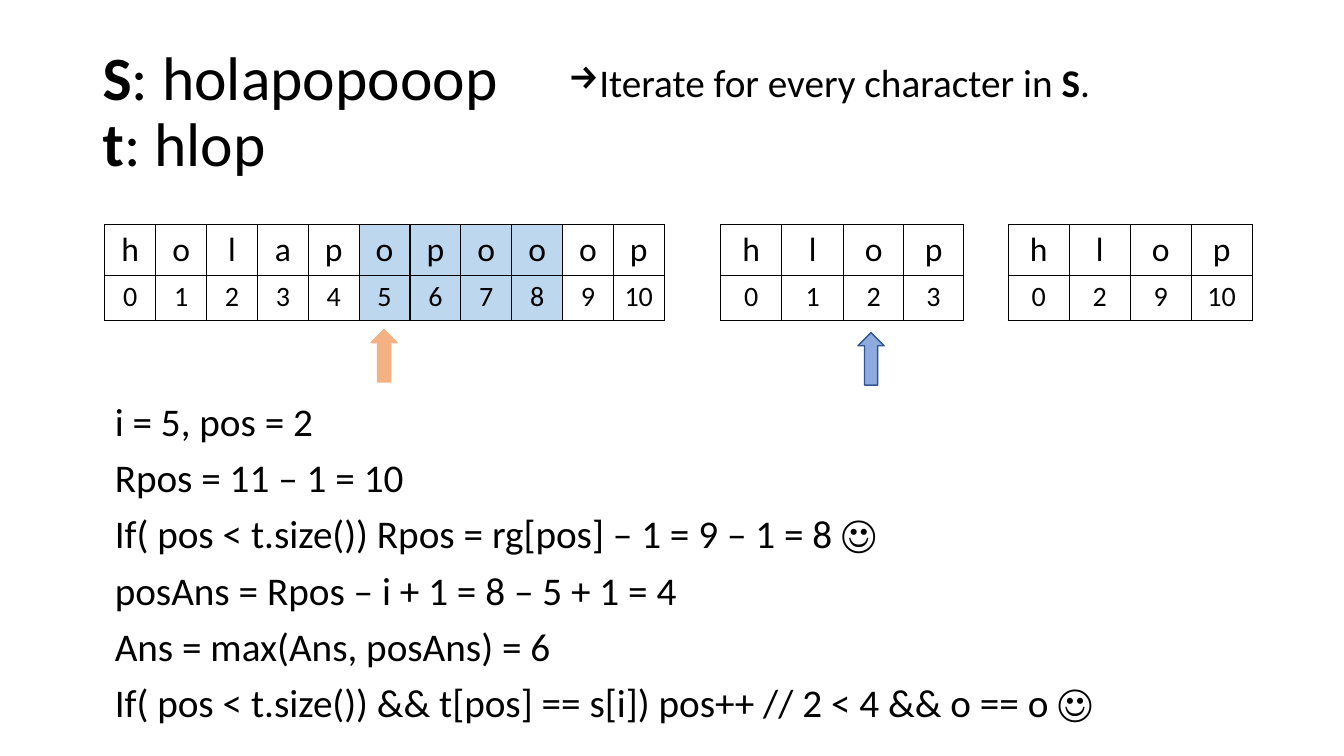
from lxml import etree
from pptx import Presentation
from pptx.dml.color import RGBColor
from pptx.enum.shapes import MSO_SHAPE
from pptx.enum.text import MSO_ANCHOR, PP_ALIGN
from pptx.oxml import parse_xml
from pptx.oxml.ns import nsdecls, qn
from pptx.util import Inches, Pt

RIGHT_ARROW = MSO_SHAPE.RIGHT_ARROW
MIDDLE, TOP = MSO_ANCHOR.MIDDLE, MSO_ANCHOR.TOP
CENTER = PP_ALIGN.CENTER
BLACK = RGBColor(0x00, 0x00, 0x00)
LIGHT_BLUE = RGBColor(0xBD, 0xD7, 0xEE)
ORANGE = RGBColor(0xF4, 0xB1, 0x83)
BLUE = RGBColor(0x8F, 0xAA, 0xDC)
DARK_BLUE = RGBColor(0x2F, 0x55, 0x97)
FONT = "Calibri"
TABLE_TOP = 2.23

prs = Presentation()
prs.slide_width, prs.slide_height = Inches(13.33), Inches(7.5)
slide = prs.slides.add_slide(prs.slide_layouts[6])


def add_run(p, text, size, bold=False):
    r = p.add_run()
    r.text = text
    font = {"name": FONT, "size": Pt(size), "bold": bold}
    for key, value in font.items():
        setattr(r.font, key, value)
    r.font.color.rgb = BLACK


def add_text(box, lines, size, space_before=0, anchor=TOP):
    """Add a text box; each line is a list of (text, bold) runs."""
    tf = slide.shapes.add_textbox(*map(Inches, box)).text_frame
    tf.word_wrap = True
    tf.vertical_anchor = anchor
    for n, runs in enumerate(lines):
        p = tf.add_paragraph() if n else tf.paragraphs[0]
        p.line_spacing = 0.9
        p.space_before = Pt(space_before)
        for text, bold in runs:
            add_run(p, text, size, bold)
    return tf


# Title and instruction
add_text((0.92, 0.4, 11.5, 1.45),
         [[("S", True), (": holapopooop", False)], [("t", True), (": hlop", False)]],
         44, anchor=MIDDLE)
tf = add_text((5.54, 0.58, 5.53, 0.59),
              [[("Iterate for every character in ", False), ("S", True), (".", False)]],
              28, space_before=10)
pPr = tf.paragraphs[0]._p.get_or_add_pPr()
pPr.set("marL", str(Inches(0.25)))
pPr.set("indent", str(-Inches(0.25)))
etree.SubElement(pPr, qn("a:buChar")).set("char", "→")

# Letters over their indices: left, column widths, letters, indices, shaded columns
tables = [
    (1.04, [5.55 / 11] * 11, "holapopooop", range(11), range(5, 9)),
    (7.15, [0.6, 0.62, 0.59, 0.6], "hlop", range(4), ()),
    (10, [0.605] * 4, "hlop", (0, 2, 9, 10), ()),
]
for left, widths, letters, indices, shaded in tables:
    frame = slide.shapes.add_table(2, len(letters), Inches(left), Inches(TABLE_TOP),
                                   Inches(sum(widths)), Inches(0.95))
    table = frame.table
    table.first_row = table.horz_banding = False
    for col, width in zip(table.columns, widths):
        col.width = Inches(width)
    for row, height, values, size in zip(table.rows, (0.5, 0.45), (letters, indices), (24, 20)):
        row.height = Inches(height)
        for n, (cell, value) in enumerate(zip(row.cells, values)):
            cell.margin_left = cell.margin_right = Inches(0.05)
            p = cell.text_frame.paragraphs[0]
            p.alignment = CENTER
            add_run(p, str(value), size)
            if n in shaded:
                cell.fill.solid()
                cell.fill.fore_color.rgb = LIGHT_BLUE
            else:
                cell.fill.background()
            tcPr = cell._tc.get_or_add_tcPr()
            for k, side in enumerate("LRTB"):
                tcPr.insert(k, parse_xml(
                    f'<a:ln{side} {nsdecls("a")} w="{Pt(1)}"><a:solidFill>'
                    f'<a:srgbClr val="{BLACK}"/></a:solidFill></a:ln{side}>'))

# Pointers under the current characters
for left, top, fill, line in [(3.55, 3.4, ORANGE, ORANGE), (8.38, 3.43, BLUE, DARK_BLUE)]:
    sp = slide.shapes.add_shape(RIGHT_ARROW, Inches(left), Inches(top), Inches(0.52), Inches(0.26))
    sp.rotation = 270
    sp.shadow.inherit = False
    sp.fill.solid()
    sp.fill.fore_color.rgb = fill
    sp.line.color.rgb = line
    sp.line.width = Pt(1)

# Steps of the iteration
steps = [
    "i = 5, pos = 2",
    "Rpos = 11 – 1 = 10",
    "If( pos < t.size()) Rpos = rg[pos] – 1 = 9 – 1 = 8 ☺",
    "posAns = Rpos – i + 1 = 8 – 5 + 1 = 4",
    "Ans = max(Ans, posAns) = 6",
    "If( pos < t.size()) && t[pos] == s[i]) pos++ // 2 < 4 && o == o ☺",
]
add_text((1.04, 3.94, 10.04, 3.35), [[(step, False)] for step in steps], 28, space_before=10)

prs.save("out.pptx")
